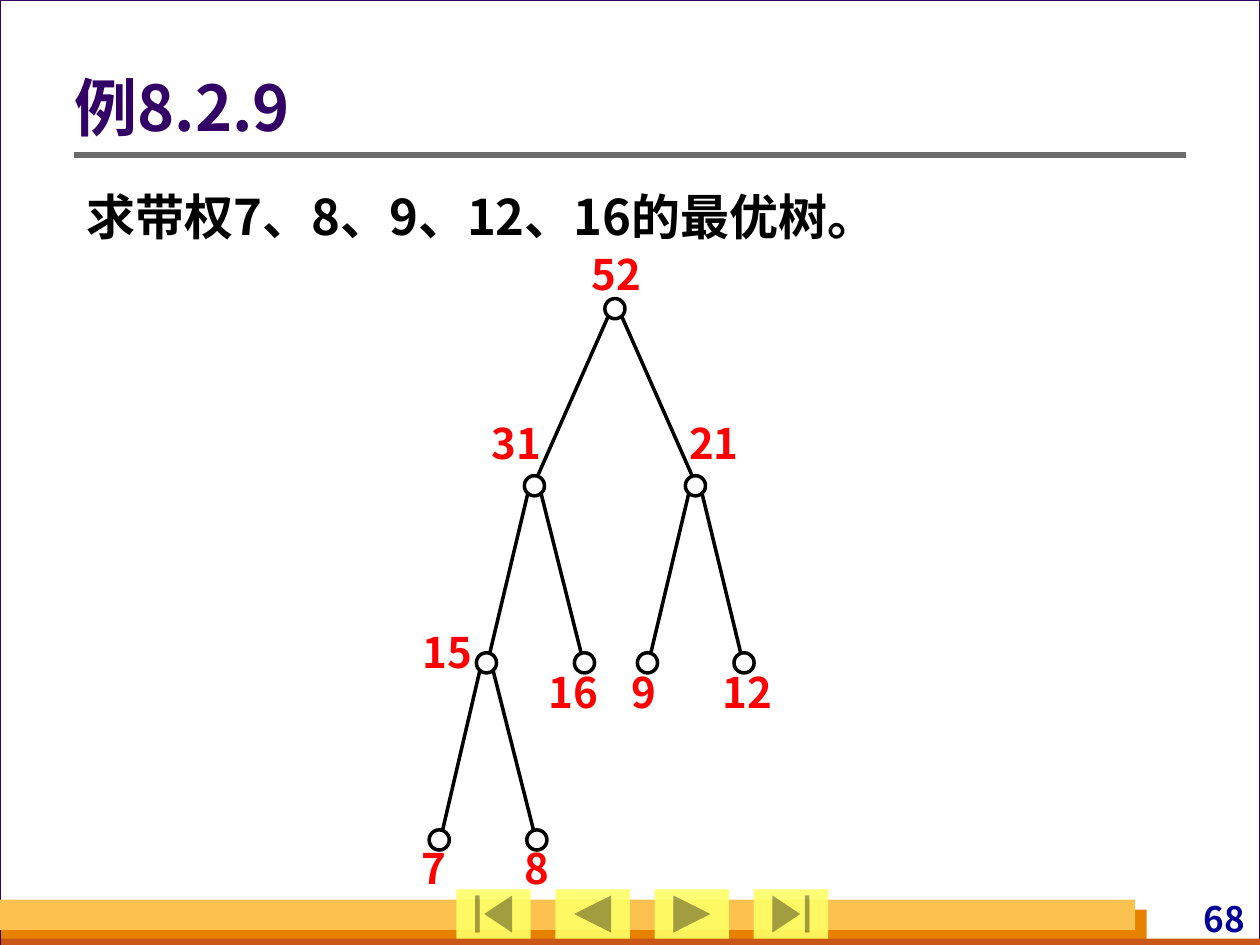
from dataclasses import dataclass

from lxml import etree
from pptx import Presentation
from pptx.dml.color import RGBColor
from pptx.enum import shapes as kinds, text as txt
from pptx.oxml.ns import qn
from pptx.util import Pt


@dataclass(frozen=True)
class Theme:
    """Font, colours and type sizes of the slide."""
    font: str = "Noto Sans CJK SC"
    paper: str = "FFFFFF"
    ink: str = "000000"
    heading: str = "330066"
    weight: str = "FF0000"
    page: str = "000099"
    rule: str = "6B6B6B"
    button: str = "FFFF66"
    gold: str = "FCC24F"
    orange: str = "E88000"
    rust: str = "C95616"
    title_size: int = 36
    body_size: int = 28
    weight_size: int = 24
    page_size: int = 20


@dataclass(frozen=True)
class Box:
    """A rectangle in points."""
    left: float
    top: float
    width: float
    height: float

    def place(self):
        return Pt(self.left), Pt(self.top), Pt(self.width), Pt(self.height)


@dataclass(frozen=True)
class Node:
    """A tree node: x within the tree, depth, parent and label offset."""
    weight: int
    x: float
    depth: int
    parent: int
    label_dx: float
    label_dy: float


THEME = Theme()
LEVEL_GAP = 101.2
NODES = [
    Node(52, 119.4, 0, 0, 1, -20),
    Node(31, 73.4, 1, 52, -10.5, -24.5),
    Node(21, 165.4, 1, 52, 10.5, -24.5),
    Node(15, 46, 2, 31, -22.5, -6.5),
    Node(16, 102, 2, 31, -6.5, 16.5),
    Node(9, 138, 2, 21, -2, 16.5),
    Node(12, 193.2, 2, 21, 2, 16.5),
    Node(7, 19, 3, 15, -3, 16),
    Node(8, 74.8, 3, 15, 0, 16),
]


def add_block(slide, kind, box, fill, line=None, width=0.75):
    """Add a preset shape without shadow."""
    block = slide.shapes.add_shape(kind, *box.place())
    block.shadow.inherit = False
    block.fill.solid()
    block.fill.fore_color.rgb = RGBColor.from_string(fill)
    if line:
        block.line.color.rgb = RGBColor.from_string(line)
        block.line.width = Pt(width)
    else:
        block.line.fill.background()
    return block


def add_line(slide, start, end, color, width):
    """Add a straight line between two points, without shadow."""
    ends = [Pt(value) for value in (*start, *end)]
    line = slide.shapes.add_connector(kinds.MSO_CONNECTOR.STRAIGHT, *ends)
    line.line.color.rgb = RGBColor.from_string(color)
    line.line.width = Pt(width)
    etree.SubElement(line._element.spPr, qn("a:effectLst"))


def write(frame, words, size, color, align, insets, before=0, spacing=1.0):
    """Write one bold paragraph into a text frame."""
    frame.word_wrap = True
    (frame.margin_left, frame.margin_top,
     frame.margin_right, frame.margin_bottom) = [Pt(inset) for inset in insets]
    paragraph = frame.paragraphs[0]
    paragraph.text = words
    paragraph.alignment = align
    paragraph.space_before = Pt(before)
    paragraph.line_spacing = spacing
    font = paragraph.font
    font.name, font.size, font.bold = THEME.font, Pt(size), True
    font.color.rgb = RGBColor.from_string(color)
    properties = paragraph._p.pPr
    east_asian = etree.SubElement(properties.find(qn("a:defRPr")), qn("a:ea"))
    east_asian.set("typeface", THEME.font)
    return properties


def add_label(slide, box, words, size, color, align, insets, before=0):
    """Add a text box that grows with its text."""
    frame = slide.shapes.add_textbox(*box.place()).text_frame
    write(frame, words, size, color, align, insets, before)
    frame.auto_size = txt.MSO_AUTO_SIZE.SHAPE_TO_FIT_TEXT


def add_backdrop(slide, box):
    """Draw the framed page with its footer bands and page number."""
    rect = kinds.MSO_SHAPE.RECTANGLE
    add_block(slide, rect, box, THEME.paper, THEME.heading)
    bottom = box.top + box.height
    bands = [(0.7, 20.2, 654.5, 20.2, THEME.orange),
             (0.7, 3.6, 720, 5.8, THEME.rust),
             (0, 25.9, 648.7, 17.3, THEME.gold)]
    for left, rise, width, height, color in bands:
        band = Box(box.left + left, bottom - rise, width, height)
        add_block(slide, rect, band, color)
    add_label(slide, Box(box.left + 638, bottom - 27.4, 76.3, 23.8), "68",
              THEME.page_size, THEME.page, txt.PP_ALIGN.RIGHT,
              (2.9, 0, 2.9, 0), 12.5)


def add_navigation(slide, box):
    """Draw four equally spaced navigation buttons."""
    width = 42.5
    buttons = [kinds.MSO_SHAPE.ACTION_BUTTON_BEGINNING,
               kinds.MSO_SHAPE.ACTION_BUTTON_BACK_OR_PREVIOUS,
               kinds.MSO_SHAPE.ACTION_BUTTON_FORWARD_OR_NEXT,
               kinds.MSO_SHAPE.ACTION_BUTTON_END]
    step = (box.width - width) / (len(buttons) - 1)
    for index, kind in enumerate(buttons):
        spot = Box(box.left + index * step, box.top, width, box.height)
        button = add_block(slide, kind, spot, THEME.button)
        color = button._element.spPr.find(qn("a:solidFill"))[0]
        etree.SubElement(color, qn("a:alpha")).set("val", "90000")


def add_heading(slide, box):
    """Fill the title placeholder and underline it."""
    title = slide.shapes.title
    title.left, title.top, title.width, title.height = box.place()
    write(title.text_frame, "例8.2.9", THEME.title_size, THEME.heading,
          txt.PP_ALIGN.LEFT, (0, 3.6, 7.2, 3.6), spacing=0.9)
    title.text_frame.vertical_anchor = txt.MSO_ANCHOR.MIDDLE
    title.text_frame.auto_size = txt.MSO_AUTO_SIZE.NONE
    slide.shapes._spTree.append(title._element)
    rule_y = box.top + 61.2
    add_line(slide, (box.left, rule_y), (box.left + box.width, rule_y),
             THEME.rule, 3)


def add_problem(slide, box):
    """Fill the body placeholder with the unbulleted problem."""
    problem = slide.placeholders[1]
    problem.left, problem.top, problem.width, problem.height = box.place()
    properties = write(problem.text_frame, "求带权7、8、9、12、16的最优树。",
                       THEME.body_size, THEME.ink, txt.PP_ALIGN.JUSTIFY,
                       (7.2, 3.6, 7.2, 3.6), 7, 1.2)
    properties.set("marL", "0")
    properties.set("indent", "0")
    properties.find(qn("a:defRPr")).addprevious(
        etree.Element(qn("a:buNone")))
    problem.text_frame.vertical_anchor = txt.MSO_ANCHOR.TOP
    problem.text_frame.auto_size = txt.MSO_AUTO_SIZE.NONE
    slide.shapes._spTree.append(problem._element)


def add_tree(slide, box):
    """Draw the weighted tree: edges first, then nodes and weights."""
    centers = {node.weight: (box.left + node.x,
                             box.top + 34.4 + node.depth * LEVEL_GAP)
               for node in NODES}
    for node in NODES[1:]:
        (px, py), (x, y) = centers[node.parent], centers[node.weight]
        side = 1 if x > px else -1
        add_line(slide, (px + side * 3.7, py + 4), (x - side * 2, y - 6),
                 THEME.ink, 2)
    size, label_width, label_height = 11.5, 45, 28.8
    for node in NODES:
        x, y = centers[node.weight]
        add_block(slide, kinds.MSO_SHAPE.OVAL,
                  Box(x - size / 2, y - size / 2, size, size),
                  THEME.paper, THEME.ink, 2)
        label = Box(x + node.label_dx - label_width / 2,
                    y + node.label_dy - label_height / 2,
                    label_width, label_height)
        add_label(slide, label, str(node.weight), THEME.weight_size,
                  THEME.weight, txt.PP_ALIGN.CENTER, (0, 0, 0, 0))


def main():
    """Build and save the slide."""
    deck = Presentation()
    deck.slide_width, deck.slide_height = Pt(720), Pt(540)
    slide = deck.slides.add_slide(deck.slide_layouts[1])
    add_backdrop(slide, Box(0, 0, 720, 540))
    add_navigation(slide, Box(260.8, 508.2, 212.4, 28.2))
    add_heading(slide, Box(42.5, 27.4, 635, 72.7))
    add_problem(slide, Box(42.5, 96.5, 635, 47.5))
    add_tree(slide, Box(232, 142, 212, 367))
    deck.save("out.pptx")


main()
